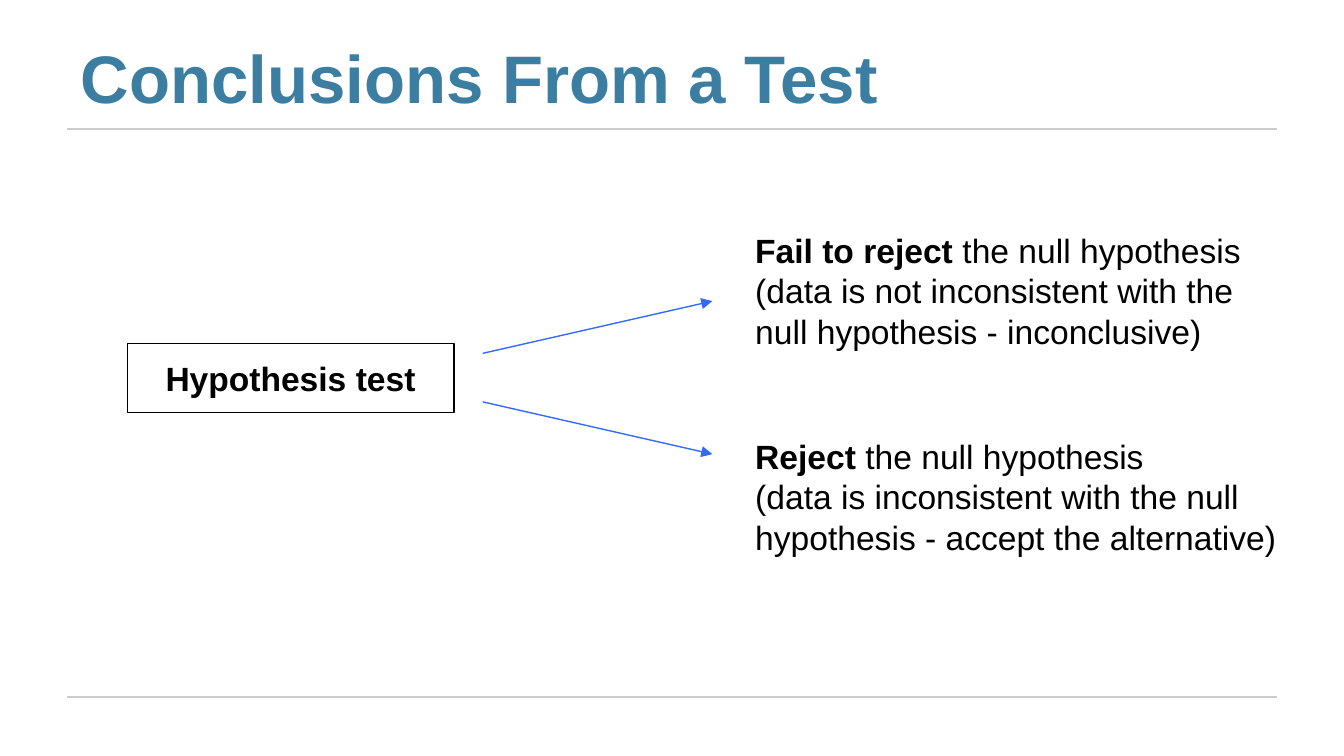
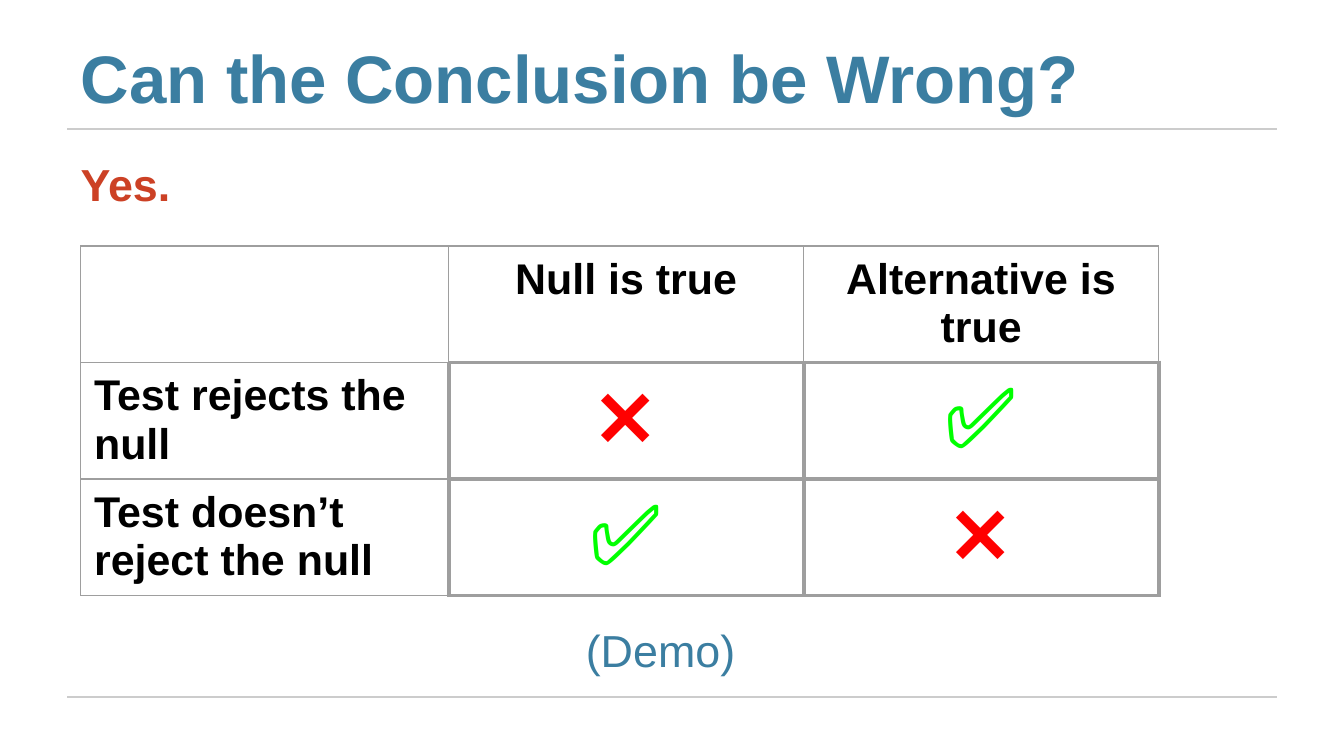
from lxml import etree
from pptx import Presentation
from pptx.dml.color import RGBColor
from pptx.enum import shapes, text
from pptx.oxml.ns import qn
from pptx.util import Pt

COLORS = {"title": "3B7EA1", "rule": "CCCCCC", "ink": "000000", "arrow": "3369FC",
          "answer": "CC4125", "grid": "9E9E9E", "wrong": "FF0000", "right": "00FF00"}


def write(frame, parts, size, color, align=text.PP_ALIGN.LEFT):
    frame.word_wrap = True
    frame.auto_size = text.MSO_AUTO_SIZE.NONE
    frame.margin_left = frame.margin_right = Pt(7.2)
    frame.margin_top = frame.margin_bottom = Pt(7.2)
    paragraph = frame.paragraphs[0]
    paragraph.alignment = align
    for words, bold in parts:
        if paragraph.runs and words.startswith("("):
            paragraph.add_line_break()
        run = paragraph.add_run()
        run.text = words
        run.font.name, run.font.size, run.font.bold = "Arial", Pt(size), bold
        run.font.color.rgb = RGBColor.from_string(COLORS[color])


def draw_line(slide, start, end, color):
    line = slide.shapes.add_connector(shapes.MSO_CONNECTOR.STRAIGHT,
                                      *map(Pt, start + end))
    line.line.width = Pt(0.75)
    line.line.color.rgb = RGBColor.from_string(COLORS[color])
    etree.SubElement(line.element.spPr, qn("a:effectLst"))
    return line


deck = Presentation()
deck.slide_width, deck.slide_height = Pt(720), Pt(405)

conclusions = deck.slides.add_slide(deck.slide_layouts[5])
errors = deck.slides.add_slide(deck.slide_layouts[1])

for number, y in enumerate((69.2, 373.4)):
    rule = draw_line(conclusions, (36, y), (684, y), "rule")
    rule.element.nvCxnSpPr.cNvPr.set("id", str(20 + number))
    deck.slide_master.shapes.element.append(rule.element)

for slide, heading, width in ((conclusions, "Conclusions From a Test", 528),
                              (errors, "Can the Conclusion be Wrong?", 610)):
    title = slide.shapes.title
    title.left, title.top, title.width, title.height = Pt(36), Pt(16.5), Pt(width), Pt(53.5)
    write(title.text_frame, [(heading, True)], 36, "title")
    title.text_frame.vertical_anchor = text.MSO_ANCHOR.BOTTOM

test = conclusions.shapes.add_shape(shapes.MSO_SHAPE.RECTANGLE,
                                    Pt(68.2), Pt(184.2), Pt(175), Pt(36.8))
test.shadow.inherit = False
test.fill.background()
test.line.width = Pt(0.75)
test.line.color.rgb = RGBColor.from_string(COLORS["ink"])
write(test.text_frame, [("Hypothesis test", True)], 18, "ink", text.PP_ALIGN.CENTER)
test.text_frame.vertical_anchor = text.MSO_ANCHOR.MIDDLE

outcomes = (
    ("Fail to reject", "(data is not inconsistent with the null hypothesis - inconclusive)",
     116, 87, 189.3, 161.3),
    ("Reject", "(data is inconsistent with the null hypothesis - accept the alternative)",
     226.3, 82, 215.3, 243.3),
)
for verdict, meaning, top, height, arrow_start, arrow_end in outcomes:
    outcome = conclusions.shapes.add_textbox(Pt(397.5), Pt(top), Pt(295), Pt(height))
    write(outcome.text_frame,
          [(verdict, True), (" the null hypothesis", False), (meaning, False)], 18, "ink")
    arrow = draw_line(conclusions, (258.6, arrow_start), (381.6, arrow_end), "arrow")
    etree.SubElement(arrow.line._get_or_add_ln(), qn("a:tailEnd"), type="triangle")

answer = errors.placeholders[1]
answer.left, answer.top, answer.width, answer.height = Pt(36), Pt(77), Pt(648), Pt(46)
write(answer.text_frame, [("Yes.", True)], 24, "answer")
answer.text_frame.paragraphs[0].space_before = Pt(4.8)
answer_format = answer.text_frame.paragraphs[0]._p.get_or_add_pPr()
answer_format.set("marL", "0")
answer_format.set("indent", "0")
etree.SubElement(answer_format, qn("a:buNone"))

outcome_rows = (("", "Null is true", "Alternative is true"),
                ("Test rejects the null", "❌", "✅"),
                ("Test doesn’t reject the null", "✅", "❌"))
mark_colors = {"❌": "wrong", "✅": "right"}
grid = errors.shapes.add_table(3, 3, Pt(43.2), Pt(131.8), Pt(577.6), Pt(187.2)).table
grid.first_row = grid.horz_banding = False
for column, width in zip(grid.columns, (197.2, 190.2, 190.2)):
    column.width = Pt(width)
for r, labels in enumerate(outcome_rows):
    grid.rows[r].height = Pt(62.4)
    for c, label in enumerate(labels):
        cell = grid.cell(r, c)
        mark = label in mark_colors
        if label:
            write(cell.text_frame, [(label, not mark)], 45 if mark else 23,
                  mark_colors.get(label, "ink"),
                  text.PP_ALIGN.CENTER if c else text.PP_ALIGN.LEFT)
        cell.margin_left = cell.margin_right = Pt(7.2)
        cell.margin_top = cell.margin_bottom = Pt(5)
        properties = cell._tc.get_or_add_tcPr()
        heavy = {"L": mark, "R": mark or (r > 0 and c == 0),
                 "T": mark, "B": mark or (r == 0 and c > 0)}
        for side, thick in heavy.items():
            border = etree.SubElement(properties, qn("a:ln" + side),
                                      w=str(Pt(2.25 if thick else 0.75)))
            paint = etree.SubElement(border, qn("a:solidFill"))
            etree.SubElement(paint, qn("a:srgbClr"), val=COLORS["grid"])
        cell.fill.background()

demo = errors.shapes.add_textbox(Pt(306.8), Pt(326.2), Pt(105.8), Pt(59.8))
write(demo.text_frame, [("(Demo)", False)], 24, "title")

deck.save("out.pptx")
